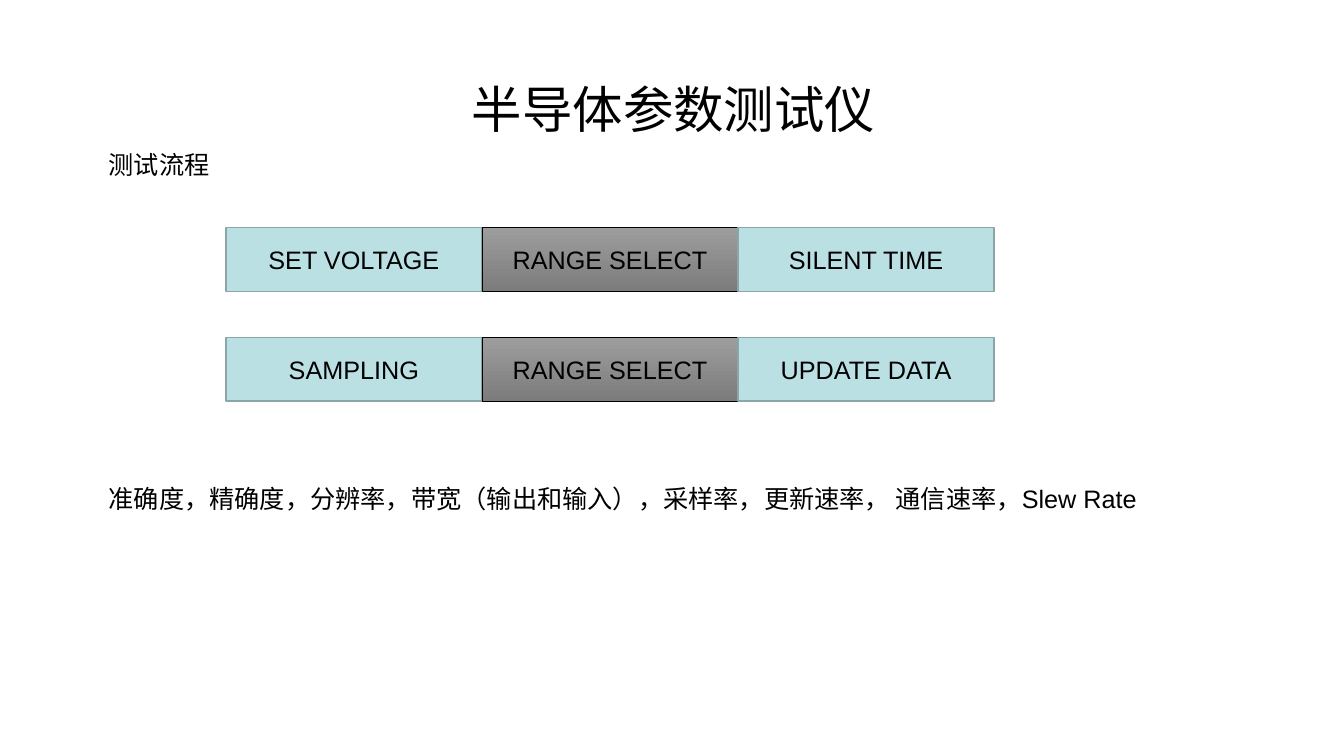
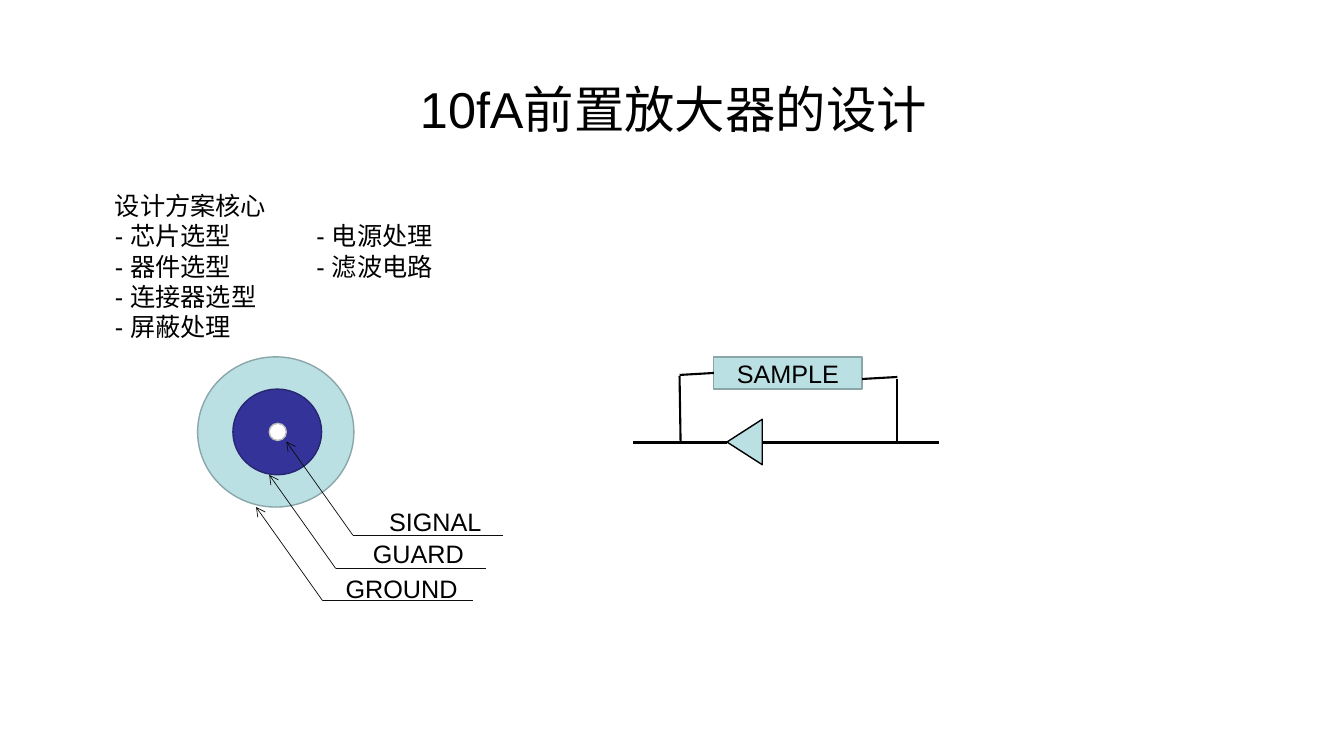
from lxml import etree
from pptx import Presentation
from pptx.dml.color import RGBColor
from pptx.enum.shapes import MSO_CONNECTOR, MSO_SHAPE
from pptx.enum.text import MSO_ANCHOR, MSO_AUTO_SIZE, PP_ALIGN
from pptx.oxml.ns import qn
from pptx.util import Inches, Pt

BLACK = RGBColor(0x00, 0x00, 0x00)
WHITE = RGBColor(0xFF, 0xFF, 0xFF)
NEAR_BLACK = RGBColor(0x0D, 0x0D, 0x0D)
PALE_TEAL = RGBColor(0xBB, 0xE0, 0xE3)
TEAL_EDGE = RGBColor(0x8A, 0xA6, 0xA8)
NAVY = RGBColor(0x33, 0x33, 0x99)
NAVY_EDGE = RGBColor(0x26, 0x26, 0x71)
PALE_GREY = RGBColor(0xBD, 0xBD, 0xBD)
GREY_TOP = RGBColor(0x9D, 0x9D, 0x9D)
GREY_BOTTOM = RGBColor(0x7C, 0x7C, 0x7C)
FONT = "Arial"
RECTANGLE, OVAL, TRIANGLE = MSO_SHAPE.RECTANGLE, MSO_SHAPE.OVAL, MSO_SHAPE.ISOSCELES_TRIANGLE
STRAIGHT = MSO_CONNECTOR.STRAIGHT
LEFT, CENTER = PP_ALIGN.LEFT, PP_ALIGN.CENTER
TOP, MIDDLE = MSO_ANCHOR.TOP, MSO_ANCHOR.MIDDLE
NO_FIT = MSO_AUTO_SIZE.NONE


def write(box, text, size=18, align=LEFT, anchor=TOP):
    frame = box.text_frame
    frame.auto_size = NO_FIT
    frame.word_wrap = True
    frame.vertical_anchor = anchor
    frame.text = text
    for para in frame.paragraphs:
        para.alignment = align
        if "\t" in para.text:
            tabs = etree.SubElement(para._p.get_or_add_pPr(), qn("a:tabLst"))
            etree.SubElement(tabs, qn("a:tab"), pos=str(Inches(2)), algn="l")
        for span in para.runs:
            span.font.size = Pt(size)
            span.font.name = FONT
            span.font.color.rgb = BLACK


def add_item(page, kind, place, fill=PALE_TEAL, edge=TEAL_EDGE, weight=1, text="", arrow=False):
    lengths = [Inches(value) for value in place]
    if kind is STRAIGHT:
        item = page.shapes.add_connector(kind, *lengths)
        etree.SubElement(item._element.spPr, qn("a:effectLst"))
    else:
        item = page.shapes.add_shape(kind, *lengths)
        item.shadow.inherit = False
        if fill is None:
            item.fill.gradient()
            item.fill.gradient_angle = 270
            for stop, color in zip(item.fill.gradient_stops, (GREY_TOP, GREY_BOTTOM)):
                stop.color.rgb = color
        else:
            item.fill.solid()
            item.fill.fore_color.rgb = fill
        if text:
            write(item, text, align=CENTER, anchor=MIDDLE)
    item.line.color.rgb = edge
    item.line.width = Pt(weight)
    if arrow:
        etree.SubElement(item.line._get_or_add_ln(), qn("a:tailEnd"), type="arrow")
    return item


deck = Presentation()
deck.slide_width, deck.slide_height = Inches(13.33), Inches(7.5)

pages = []
for heading in ("半导体参数测试仪", "10fA前置放大器的设计"):
    page = deck.slides.add_slide(deck.slide_layouts[5])
    title = page.shapes.title
    title.left, title.top, title.width, title.height = Inches(0.68), Inches(0.68), Inches(12), Inches(0.79)
    write(title, heading, size=36, align=CENTER, anchor=MIDDLE)
    pages.append(page)
flow_page, amplifier_page = pages

STEP_WIDTH = 2.54
flow = [
    (2.26, ("SET VOLTAGE", "RANGE SELECT", "SILENT TIME")),
    (3.35, ("SAMPLING", "RANGE SELECT", "UPDATE DATA")),
]
for top, steps in flow:
    for column, step in enumerate(steps):
        place = (2.24 + column * STEP_WIDTH, top, STEP_WIDTH, 0.63)
        if step == "RANGE SELECT":
            add_item(flow_page, RECTANGLE, place, fill=None, edge=BLACK, weight=0.5, text=step)
        else:
            add_item(flow_page, RECTANGLE, place, text=step)

add_item(amplifier_page, STRAIGHT, (6.28, 4.39, 7.21, 4.39), edge=BLACK, weight=1.5)
amplifier = add_item(amplifier_page, TRIANGLE, (7.16, 4.21, 0.45, 0.35), edge=BLACK)
amplifier.rotation = 270
add_item(amplifier_page, RECTANGLE, (7.08, 3.54, 1.47, 0.32), text="SAMPLE")
wires = [
    (7.56, 4.39, 9.31, 4.39),
    (6.74, 3.73, 6.75, 4.38),
    (6.74, 3.72, 7.08, 3.7),
    (8.55, 3.76, 8.9, 3.74),
    (8.9, 3.76, 8.9, 4.4),
]
for wire in wires:
    add_item(amplifier_page, STRAIGHT, wire, edge=BLACK, weight=1.5)

cable_layers = [
    ((1.96, 3.54, 1.55, 1.49), PALE_TEAL, TEAL_EDGE),
    ((2.31, 3.86, 0.88, 0.85), NAVY, NAVY_EDGE),
    ((2.67, 4.2, 0.17, 0.17), WHITE, PALE_GREY),
]
for place, fill, edge in cable_layers:
    add_item(amplifier_page, OVAL, place, fill=fill, edge=edge)

for left, top in ((3.5, 5.31), (3.33, 5.64), (3.2, 5.96)):
    add_item(amplifier_page, STRAIGHT, (left, top, left - 0.66, top - 0.93),
             edge=NEAR_BLACK, weight=0.5, arrow=True)
    add_item(amplifier_page, STRAIGHT, (left, top, left + 1.49, top), edge=NEAR_BLACK, weight=0.5)

design_points = "\n".join((
    "设计方案核心",
    "- 芯片选型\t- 电源处理",
    "- 器件选型\t- 滤波电路",
    "- 连接器选型",
    "- 屏蔽处理",
))
labels = [
    (flow_page, (0.98, 1.43, 1.59, 0.4), "测试流程"),
    (flow_page, (0.98, 4.75, 10.41, 0.4),
     "准确度，精确度，分辨率，带宽（输出和输入），采样率，更新速率， 通信速率，Slew Rate"),
    (amplifier_page, (1.04, 1.84, 3.65, 1.9), design_points),
    (amplifier_page, (3.76, 4.97, 1.22, 0.4), "SIGNAL"),
    (amplifier_page, (3.6, 5.29, 1.22, 0.4), "GUARD"),
    (amplifier_page, (3.33, 5.64, 1.36, 0.4), "GROUND"),
]
for page, place, text in labels:
    box = page.shapes.add_textbox(*[Inches(value) for value in place])
    write(box, text)

deck.save("out.pptx")
